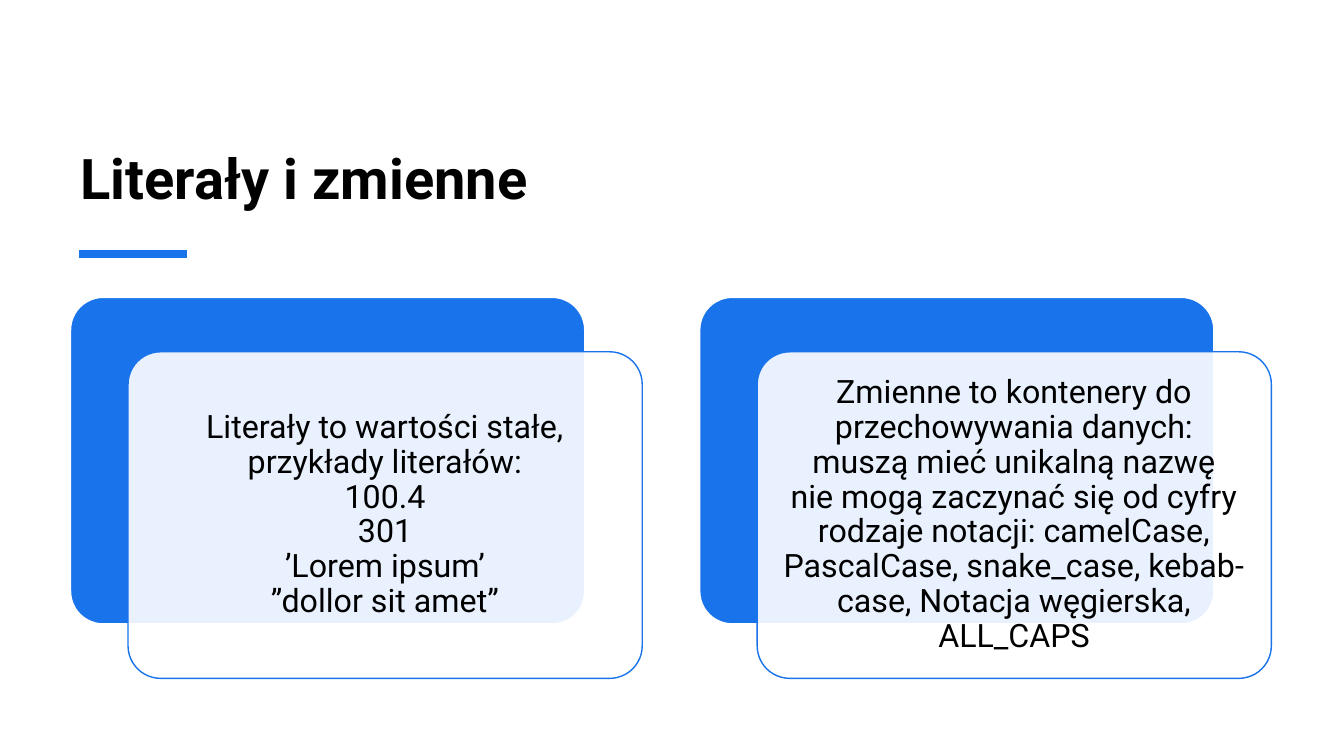
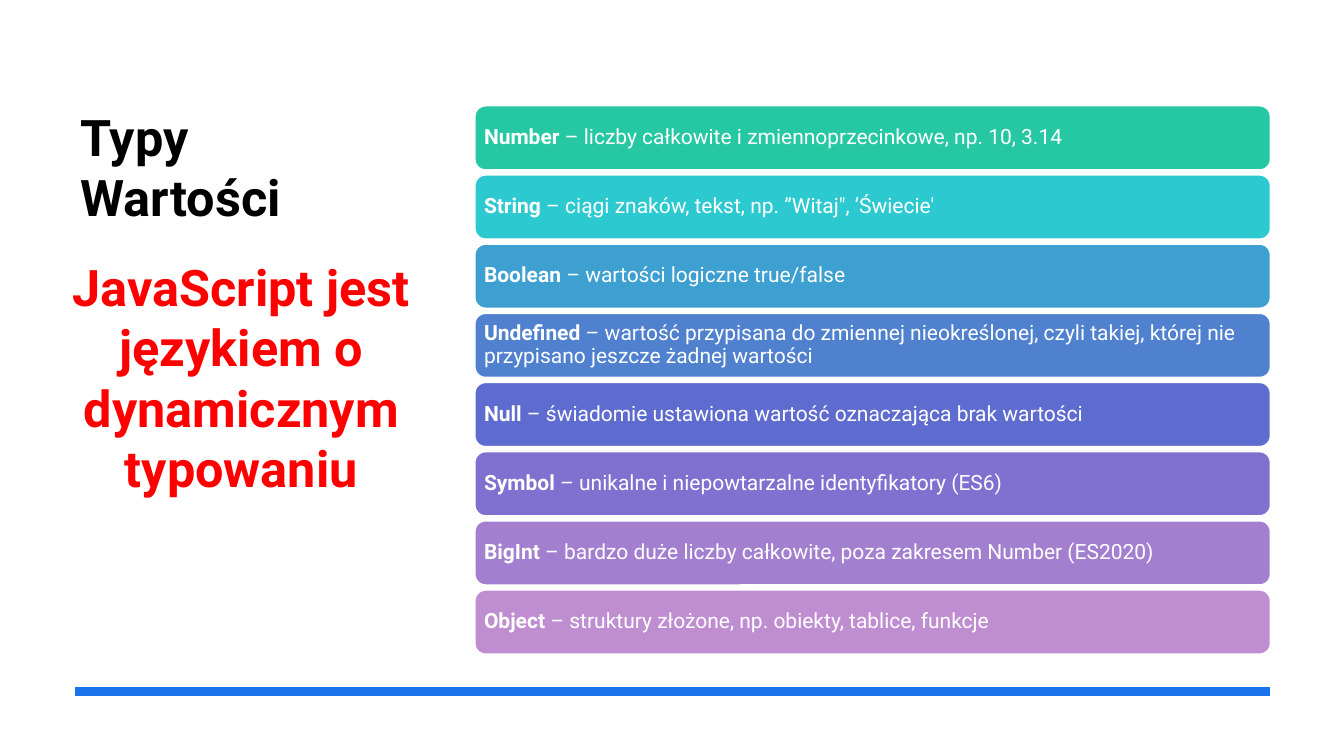
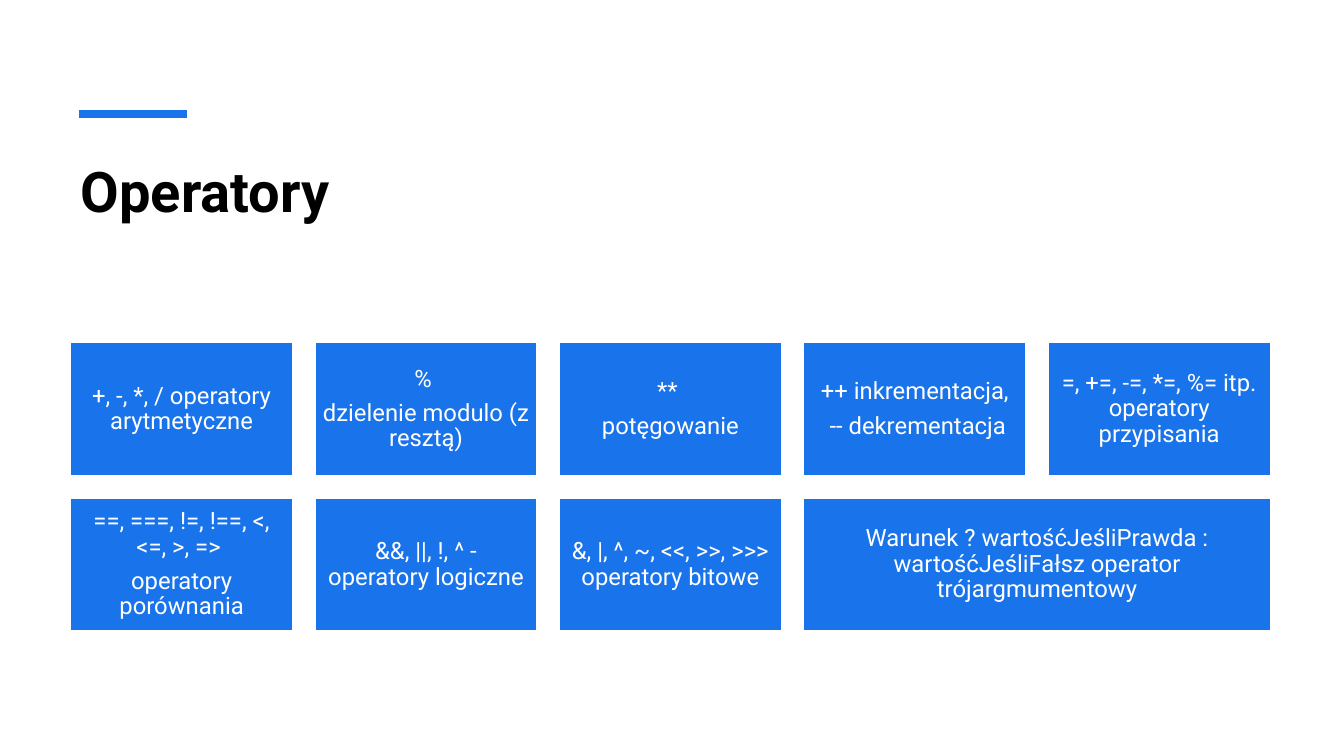
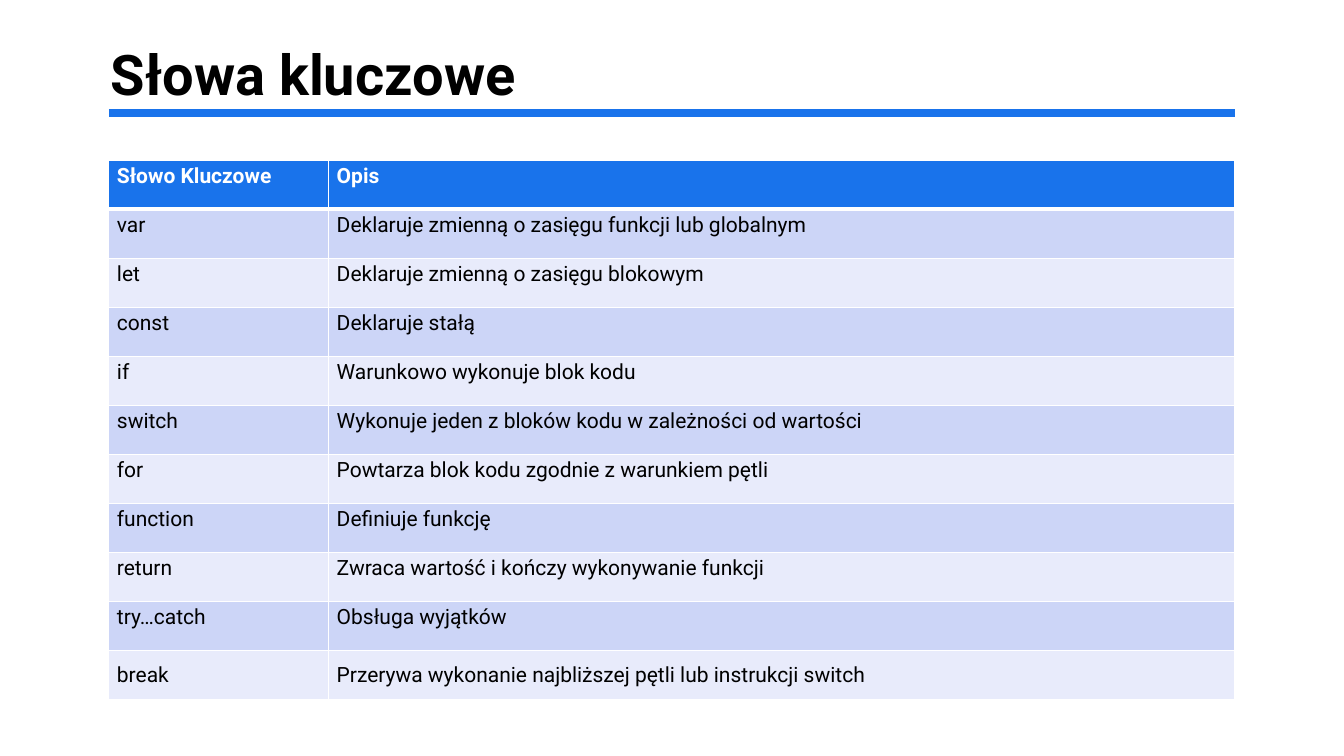
from lxml.etree import SubElement
from pptx import Presentation
from pptx.dml.color import RGBColor
from pptx.enum.shapes import MSO_CONNECTOR as Connector, MSO_SHAPE as Shape
from pptx.enum.text import MSO_ANCHOR as Anchor, MSO_AUTO_SIZE as AutoSize, PP_ALIGN as Align
from pptx.oxml.ns import qn
from pptx.util import Inches, Pt

# Shared look
FONT = "Roboto"
BLUE, WHITE, BLACK, RED = "1973EB", "FFFFFF", "000000", "FF0000"
BAND_DARK, BAND_LIGHT = "CCD5F7", "E8EBFB"
TITLE_ONLY = 5

# Content
CARDS = [
    "Literały to wartości stałe, przykłady literałów:\n100.4\n301\n’Lorem ipsum’\n”dollor sit amet”",
    "Zmienne to kontenery do przechowywania danych:\nmuszą mieć unikalną nazwę\n"
    "nie mogą zaczynać się od cyfry\nrodzaje notacji: camelCase, PascalCase, "
    "snake_case, kebab-case, Notacja węgierska, ALL_CAPS",
]
VALUE_TYPES = [
    ("25C8A2", "Number", " – liczby całkowite i zmiennoprzecinkowe, np. 10, 3.14"),
    ("2CC9D1", "String", " – ciągi znaków, tekst, np. ”Witaj\", ’Świecie'"),
    ("3DA0D0", "Boolean", " – wartości logiczne true/false"),
    ("4F81CF", "Undefined", " – wartość przypisana do zmiennej nieokreślonej, czyli takiej, "
                            "której nie przypisano jeszcze żadnej wartości"),
    ("5F6CCF", "Null", " – świadomie ustawiona wartość oznaczająca brak wartości"),
    ("8070CF", "Symbol", " – unikalne i niepowtarzalne identyfikatory (ES6)"),
    ("A37FD0", "BigInt", " – bardzo duże liczby całkowite, poza zakresem Number (ES2020)"),
    ("BF8ED1", "Object", " – struktury złożone, np. obiekty, tablice, funkcje"),
]
OPERATORS = [
    ["+, -, *, / operatory arytmetyczne"],
    ["% ", "dzielenie modulo (z resztą)"],
    ["** ", "potęgowanie"],
    ["++ inkrementacja,", " -- dekrementacja"],
    ["=, +=, -=, *=, %= itp. operatory przypisania"],
    ["==, ===, !=, !==, <, <=, >, => ", "operatory porównania"],
    ["&&, ||, !, ^ - operatory logiczne"],
    ["&, |, ^, ~, <<, >>, >>> operatory bitowe"],
    ["Warunek ? wartośćJeśliPrawda : wartośćJeśliFałsz operator trójargmumentowy"],
]
KEYWORDS = [
    ("Słowo Kluczowe", "Opis"),
    ("var", "Deklaruje zmienną o zasięgu funkcji lub globalnym"),
    ("let", "Deklaruje zmienną o zasięgu blokowym"),
    ("const", "Deklaruje stałą"),
    ("if", "Warunkowo wykonuje blok kodu"),
    ("switch", "Wykonuje jeden z bloków kodu w zależności od wartości"),
    ("for", "Powtarza blok kodu zgodnie z warunkiem pętli"),
    ("function", "Definiuje funkcję"),
    ("return", "Zwraca wartość i kończy wykonywanie funkcji"),
    ("try…catch", "Obsługa wyjątków"),
    ("break", "Przerywa wykonanie najbliższej pętli lub instrukcji switch"),
]


# Helpers
def color(value):
    return RGBColor.from_string(value)


def apply(target, values):
    for name, value in values.items():
        setattr(target, name, value)


def box(left, top, width, height):
    return [Inches(length) for length in (left, top, width, height)]


def spread(start, total, count, gap):
    """Starts of equal parts with equal gaps, and the size of a part."""
    size = (total - gap * (count - 1)) / count
    return [start + i * (size + gap) for i in range(count)], size


def write(frame, paragraphs, size, ink, bold=False, inset=None, anchor=Anchor.TOP, **layout):
    """Fill a frame; a tuple paragraph has a bold lead and a plain rest."""
    apply(frame, {"word_wrap": True, "vertical_anchor": anchor})
    if inset is not None:
        sides = ("left", "top", "right", "bottom")
        apply(frame, {f"margin_{side}": Inches(inset) for side in sides})
    for index, content in enumerate(paragraphs):
        paragraph = frame.add_paragraph() if index else frame.paragraphs[0]
        apply(paragraph, {"alignment": Align.LEFT, **layout})
        pieces = content if isinstance(content, tuple) else (content,)
        for order, piece in enumerate(pieces):
            for row, line in enumerate(piece.split("\n")):
                if row:
                    paragraph.add_line_break()
                run = paragraph.add_run()
                run.text = line
                is_lead = len(pieces) > 1 and order == 0
                apply(run.font, {"name": FONT, "size": Pt(size), "bold": bold or is_lead})
                run.font.color.rgb = color(ink)
        # Line breaks keep the text size too
        paragraph.font.size = Pt(size)


def add_slide(deck, title, place, size=40, anchor=Anchor.TOP):
    slide = deck.slides.add_slide(deck.slide_layouts[TITLE_ONLY])
    heading = slide.shapes.title
    apply(heading, dict(zip(("left", "top", "width", "height"), box(*place))))
    heading.text_frame.auto_size = AutoSize.NONE
    write(heading.text_frame, [title], size, BLACK, bold=True, anchor=anchor)
    return slide


def add_rule(slide, left, right, y):
    rule = slide.shapes.add_connector(
        Connector.STRAIGHT, Inches(left), Inches(y), Inches(right), Inches(y))
    rule.line.color.rgb = color(BLUE)
    rule.line.width = Pt(6)
    SubElement(rule._element.spPr, qn("a:effectLst"))


def add_panel(slide, kind, place, fill, outline=WHITE, corner=None, opacity=None):
    panel = slide.shapes.add_shape(kind, *box(*place))
    panel.shadow.inherit = False
    panel.fill.solid()
    panel.fill.fore_color.rgb = color(fill)
    panel.line.color.rgb = color(outline)
    panel.line.width = Pt(1)
    if corner is not None:
        panel.adjustments[0] = corner
    if opacity is not None:
        tint = panel._element.spPr.find(qn("a:solidFill"))[0]
        SubElement(tint, qn("a:alpha"), val=str(opacity * 1000))
    return panel.text_frame


def add_borders(cell, widths):
    properties = cell._tc.get_or_add_tcPr()
    for index, (side, width) in enumerate(widths.items()):
        border = SubElement(properties, qn(f"a:ln{side}"), w=str(Pt(width)))
        fill = SubElement(border, qn("a:solidFill"))
        SubElement(fill, qn("a:srgbClr"), val=WHITE)
        properties.insert(index, border)


# Slides
def literals_slide(deck):
    slide = add_slide(deck, "Literały i zmienne", (0.7, 0.62, 11.91, 1.52), anchor=Anchor.BOTTOM)
    add_rule(slide, 0.78, 1.85, 2.52)
    lefts, _ = spread(0.7, 11.34, 2, 1.14)
    for left, card in zip(lefts, CARDS):
        add_panel(slide, Shape.ROUNDED_RECTANGLE, (left, 2.95, 5.1, 3.24), BLUE, corner=0.1)
        front = add_panel(slide, Shape.ROUNDED_RECTANGLE, (left + 0.57, 3.49, 5.1, 3.24),
                          WHITE, BLUE, corner=0.1, opacity=90)
        write(front, [card], 23, BLACK, inset=0.1, anchor=Anchor.MIDDLE,
              alignment=Align.CENTER, line_spacing=0.9)


def value_types_slide(deck):
    slide = add_slide(deck, "Typy Wartości", (0.7, 1, 3.28, 4.55), size=36)
    add_rule(slide, 0.74, 12.6, 6.86)
    tops, height = spread(1.05, 5.44, len(VALUE_TYPES), 0.05)
    for top, (fill, name, meaning) in zip(tops, VALUE_TYPES):
        bar = add_panel(slide, Shape.ROUNDED_RECTANGLE, (4.71, top, 7.89, height), fill)
        write(bar, [(name, meaning)], 15, WHITE, inset=0.06, anchor=Anchor.MIDDLE,
              line_spacing=0.9)
    remark = slide.shapes.add_textbox(*box(0.51, 2.49, 3.77, 2.52))
    write(remark.text_frame, ["JavaScript jest językiem o dynamicznym typowaniu"], 36, RED,
          bold=True, alignment=Align.CENTER)


def operators_slide(deck):
    slide = add_slide(deck, "Operatory", (0.7, 1.5, 11.91, 1.2))
    add_rule(slide, 0.78, 1.85, 1.13)
    columns, gap = 5, 0.22
    lefts, width = spread(0.7, 11.9, columns, gap)
    for index, lines in enumerate(OPERATORS):
        row, column = divmod(index, columns)
        is_last = index == len(OPERATORS) - 1
        tile_width = 2 * width + gap if is_last else width
        tile = add_panel(slide, Shape.RECTANGLE,
                         (lefts[column], 3.4 + row * 1.54, tile_width, 1.32), BLUE)
        write(tile, lines, 17, WHITE, inset=0.07, anchor=Anchor.MIDDLE,
              alignment=Align.CENTER, line_spacing=0.9, space_after=Pt(6))


def keywords_slide(deck):
    slide = add_slide(deck, "Słowa kluczowe", (1, 0.34, 11.33, 1.25))
    add_rule(slide, 1.08, 12.25, 1.12)
    last = len(KEYWORDS) - 1
    table = slide.shapes.add_table(len(KEYWORDS), 2, *box(1.08, 1.59, 11.17, 5.35)).table
    for column, width in zip(table.columns, (2.18, 8.99)):
        column.width = Inches(width)
    for row, texts in enumerate(KEYWORDS):
        is_header = row == 0
        fill = BLUE if is_header else BAND_DARK if row % 2 else BAND_LIGHT
        for column, text in enumerate(texts):
            cell = table.cell(row, column)
            apply(cell, {"margin_left": Inches(0.08), "margin_right": Inches(0.08),
                         "margin_top": Inches(0.04), "margin_bottom": Inches(0.04)})
            write(cell.text_frame, [text], 15, WHITE if is_header else BLACK, bold=is_header)
            cell.vertical_anchor = Anchor.MIDDLE if row == last else Anchor.TOP
            cell.fill.solid()
            cell.fill.fore_color.rgb = color(fill)
            add_borders(cell, {"L": 1, "R": 1, "T": 3 if row == 1 else 1,
                               "B": 3 if is_header else 1})


def main():
    deck = Presentation()
    deck.slide_width, deck.slide_height = Inches(13.33), Inches(7.5)
    for build in (literals_slide, value_types_slide, operators_slide, keywords_slide):
        build(deck)
    deck.save("out.pptx")


if __name__ == "__main__":
    main()
